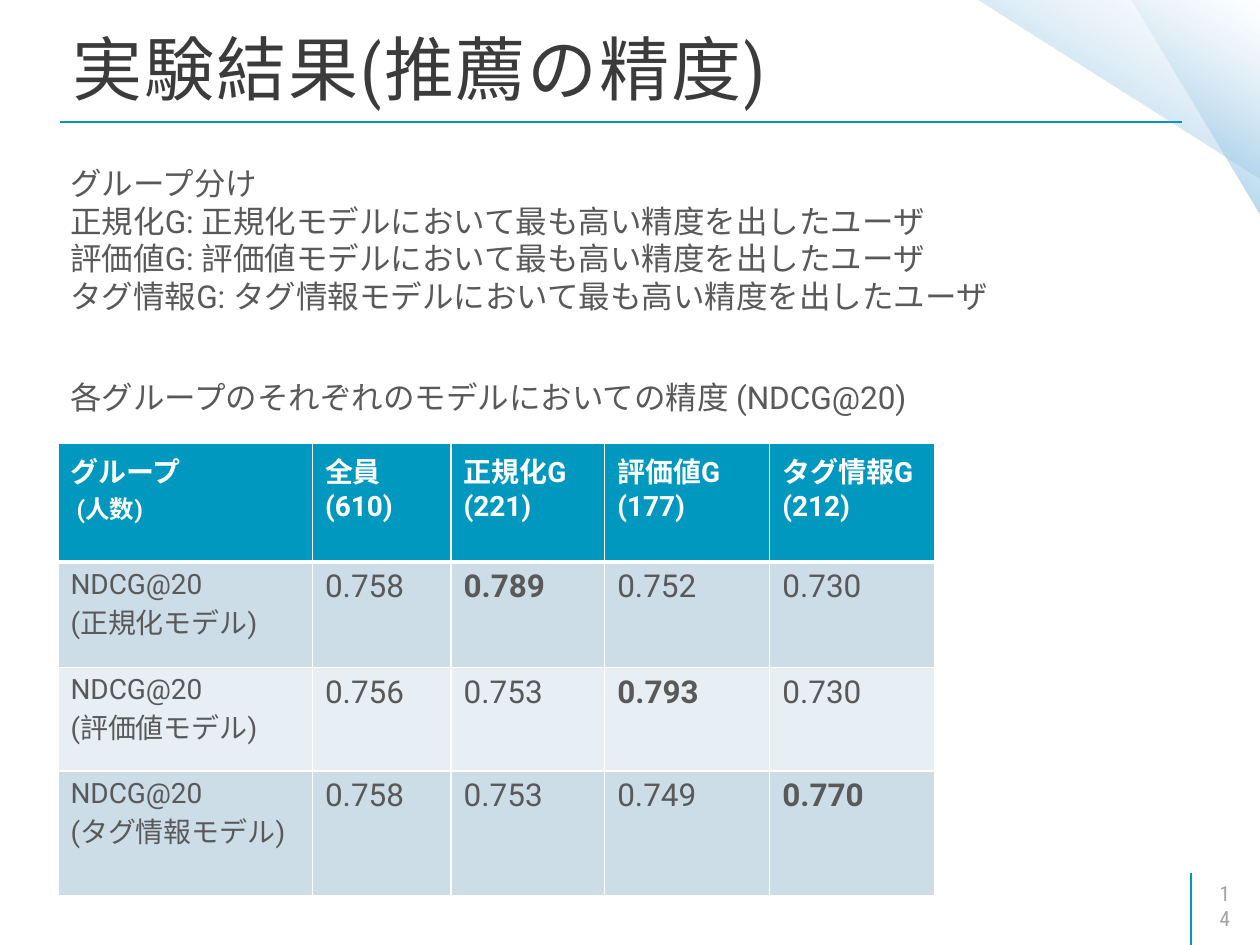
from pptx import Presentation
from pptx.dml.color import RGBColor
from pptx.enum.shapes import MSO_CONNECTOR, MSO_SHAPE
from pptx.enum.text import MSO_ANCHOR
from pptx.oxml import parse_xml
from pptx.oxml.ns import nsdecls
from pptx.util import Inches, Pt

STRAIGHT = MSO_CONNECTOR.STRAIGHT
RIGHT_TRIANGLE = MSO_SHAPE.RIGHT_TRIANGLE
MIDDLE = MSO_ANCHOR.MIDDLE

TEAL = RGBColor(0x00, 0x98, 0xBF)
WHITE = RGBColor(0xFF, 0xFF, 0xFF)
TITLE_GRAY = RGBColor(0x3B, 0x3B, 0x3B)
TEXT_GRAY = RGBColor(0x59, 0x59, 0x59)
NUMBER_GRAY = RGBColor(0xA2, 0xA2, 0xA2)
BAND_DARK = RGBColor(0xCC, 0xDD, 0xE8)
BAND_LIGHT = RGBColor(0xE7, 0xEF, 0xF4)

GRADIENT = f"""<a:gradFill {nsdecls('a')} rotWithShape="1"><a:gsLst>
<a:gs pos="0"><a:srgbClr val="8FC8E8"/></a:gs>
<a:gs pos="50000"><a:srgbClr val="A4CEE9"><a:alpha val="44000"/></a:srgbClr></a:gs>
<a:gs pos="100000"><a:srgbClr val="DEEDF6"><a:alpha val="0"/></a:srgbClr></a:gs>
</a:gsLst><a:lin ang="7200000" scaled="0"/></a:gradFill>"""


def format_text(frame, size, color, font="Roboto", bold=False):
    for para in frame.paragraphs:
        for span in para.runs:
            span.font.size = Pt(size)
            span.font.color.rgb = color
            span.font.name = font
            span.font.bold = bold


def add_text(text, left, top, width, height, size, color, font="Roboto"):
    box = slide.shapes.add_textbox(Inches(left), Inches(top), Inches(width), Inches(height))
    box.text_frame.word_wrap = True
    box.text_frame.text = text
    format_text(box.text_frame, size, color, font)
    return box.text_frame


deck = Presentation()
deck.slide_width = Inches(10)
deck.slide_height = Inches(7.5)
slide = deck.slides.add_slide(deck.slide_layouts[6])

for width, height in [(1.02, 1.71), (2.24, 1.42)]:
    triangle = slide.shapes.add_shape(
        RIGHT_TRIANGLE, Inches(10 - width), 0, Inches(width), Inches(height))
    triangle.rotation = 180
    triangle.shadow.inherit = False
    triangle.line.fill.background()
    triangle._element.spPr.insert(2, parse_xml(GRADIENT))

for start_x, start_y, end_x, end_y in [(9.45, 7.5, 9.45, 6.93), (0.48, 0.97, 9.38, 0.97)]:
    rule = slide.shapes.add_connector(
        STRAIGHT, Inches(start_x), Inches(start_y), Inches(end_x), Inches(end_y))
    rule.line.color.rgb = TEAL
    rule.line.width = Pt(1)
    rule._element.spPr.append(parse_xml(f"<a:effectLst {nsdecls('a')}/>"))

number = add_text("14", 9.5, 6.99, 0.5, 0.4, 12, NUMBER_GRAY, "Roboto Condensed")
number.vertical_anchor = MIDDLE
number.margin_left = number.margin_right = Inches(0.18)
number.margin_top = number.margin_bottom = Inches(0.09)

title = add_text("実験結果(推薦の精度)", 0.48, 0.15, 8.62, 1.45, 40, TITLE_GRAY, "Roboto Condensed")
title.paragraphs[0].runs[0].font._element.set("spc", "110")

groups = ["正規化", "評価値", "タグ情報"]
grouping = ["グループ分け"] + [
    f"{group}G: {group}モデルにおいて最も高い精度を出したユーザ" for group in groups]
add_text("\n".join(grouping), 0.46, 1.25, 7.5, 1.31, 18, TEXT_GRAY)
add_text("各グループのそれぞれのモデルにおいての精度 (NDCG@20)", 0.46, 2.95, 6.94, 0.4, 18, TEXT_GRAY)

rows = [
    ["グループ\n (人数)", "全員\n(610)", "正規化G\n(221)", "評価値G\n(177)", "タグ情報G\n(212)"],
    ["NDCG@20\n(正規化モデル)", "0.758", "0.789", "0.752", "0.730"],
    ["NDCG@20\n(評価値モデル)", "0.756", "0.753", "0.793", "0.730"],
    ["NDCG@20\n(タグ情報モデル)", "0.758", "0.753", "0.749", "0.770"],
]
column_widths = [2.02, 1.1, 1.22, 1.31, 1.31]
row_heights = [0.94, 0.84, 0.82, 0.99]
table = slide.shapes.add_table(
    len(rows), len(column_widths), Inches(0.46), Inches(3.52),
    Inches(sum(column_widths)), Inches(sum(row_heights))).table
for column, width in zip(table.columns, column_widths):
    column.width = Inches(width)
for row, height in zip(table.rows, row_heights):
    row.height = Inches(height)

for row_index, texts in enumerate(rows):
    header = row_index == 0
    fill = TEAL if header else BAND_DARK if row_index % 2 else BAND_LIGHT
    for column_index, text in enumerate(texts):
        cell = table.cell(row_index, column_index)
        cell.text = text
        best = column_index == row_index + 1
        size = 16 if header or column_index == 0 else 18
        format_text(cell.text_frame, size, WHITE if header else TEXT_GRAY, bold=header or best)
        properties = cell._tc.get_or_add_tcPr()
        for side in ["L", "R", "T", "B"]:
            thick = (side == "B" and header) or (side == "T" and row_index == 1)
            properties.append(parse_xml(
                f'<a:ln{side} {nsdecls("a")} w="{Pt(3 if thick else 1)}">'
                f'<a:solidFill><a:srgbClr val="{WHITE}"/></a:solidFill></a:ln{side}>'))
        cell.fill.solid()
        cell.fill.fore_color.rgb = fill

table.cell(0, 0).text_frame.paragraphs[1].runs[0].font.size = Pt(14)

deck.save("out.pptx")
